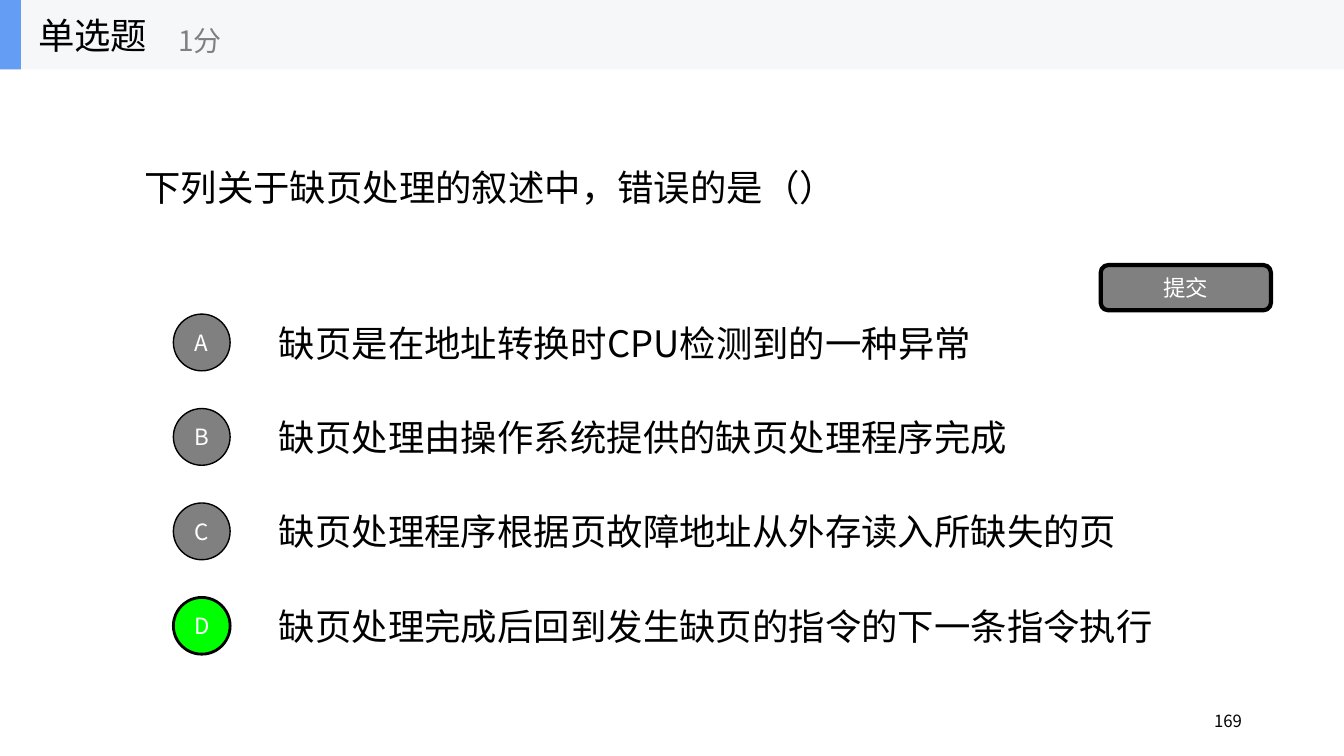
from lxml import etree
from pptx import Presentation
from pptx.dml.color import RGBColor
from pptx.enum.shapes import MSO_SHAPE
from pptx.enum.text import MSO_ANCHOR, MSO_AUTO_SIZE, PP_ALIGN
from pptx.oxml.ns import qn
from pptx.util import Cm, Pt

LEFT, CENTER, RIGHT = PP_ALIGN.LEFT, PP_ALIGN.CENTER, PP_ALIGN.RIGHT
MIDDLE, NO_FIT = MSO_ANCHOR.MIDDLE, MSO_AUTO_SIZE.NONE
RECTANGLE, ROUNDED, OVAL = MSO_SHAPE.RECTANGLE, MSO_SHAPE.ROUNDED_RECTANGLE, MSO_SHAPE.OVAL

FONT = "Noto Sans CJK SC"
BLACK, WHITE, GRAY, GREEN = "000000", "FFFFFF", "808080", "00FF00"
BAND, ACCENT = "F6F7F8", "639EF4"

KIND = "单选题"
SCORE = "1分"
QUESTION = "下列关于缺页处理的叙述中，错误的是（）"
OPTIONS = [
    ("A", "缺页是在地址转换时CPU检测到的一种异常"),
    ("B", "缺页处理由操作系统提供的缺页处理程序完成"),
    ("C", "缺页处理程序根据页故障地址从外存读入所缺失的页"),
    ("D", "缺页处理完成后回到发生缺页的指令的下一条指令执行"),
]
ANSWER = "D"
SUBMIT = "提交"
PAGE_NUMBER = "169"

PAGE_WIDTH, PAGE_HEIGHT = 33.87, 19.05
HEADER_HEIGHT = 1.75
FIRST_CENTER, OPTION_STEP = 8.63, 2.38
OPTION_HEIGHT, CIRCLE_SIZE = 1.78, 1.43


def color(value):
    return RGBColor.from_string(value)


def place(shape, left, top, width, height):
    shape.left, shape.top = Cm(left), Cm(top)
    shape.width, shape.height = Cm(width), Cm(height)


def write(shape, text, size=26, fill=BLACK, align=LEFT):
    frame = shape.text_frame
    frame.word_wrap = True
    frame.auto_size = NO_FIT
    frame.vertical_anchor = MIDDLE
    para = frame.paragraphs[0]
    para.alignment = align
    span = para.add_run()
    span.text = text
    span.font.size = Pt(size)
    span.font.name = FONT
    span.font.color.rgb = color(fill)
    east_asian = etree.SubElement(span.font._element, qn("a:ea"))
    east_asian.set("typeface", FONT)


def add_text(page, area, text, **style):
    box = page.shapes.add_textbox(*map(Cm, area))
    write(box, text, **style)


def add_block(page, kind, area, fill, line_width=0, label=None):
    block = page.shapes.add_shape(kind, *map(Cm, area))
    block.shadow.inherit = False
    block.fill.solid()
    block.fill.fore_color.rgb = color(fill)
    if line_width:
        block.line.color.rgb = color(BLACK)
        block.line.width = Pt(line_width)
    else:
        block.line.fill.background()
    if label:
        frame = block.text_frame
        frame.margin_left = frame.margin_right = 0
        frame.margin_top = frame.margin_bottom = 0
        write(block, label, size=16, fill=WHITE, align=CENTER)


def add_option(page, index, letter, text):
    center = FIRST_CENTER + index * OPTION_STEP
    add_text(page, (6.78, center - OPTION_HEIGHT / 2, 23.7, OPTION_HEIGHT), text)
    correct = letter == ANSWER
    area = (4.37, center - CIRCLE_SIZE / 2, CIRCLE_SIZE, CIRCLE_SIZE)
    add_block(page, OVAL, area, GREEN if correct else GRAY, 2 if correct else 1, letter)


def main():
    deck = Presentation()
    deck.slide_width, deck.slide_height = Cm(PAGE_WIDTH), Cm(PAGE_HEIGHT)
    page = deck.slides.add_slide(deck.slide_layouts[5])

    place(page.shapes.title, 3.38, 1.75, 27.1, 5.94)
    write(page.shapes.title, QUESTION)
    for index, (letter, text) in enumerate(OPTIONS):
        add_option(page, index, letter, text)
    add_block(page, ROUNDED, (27.74, 6.68, 4.29, 1.14), GRAY, 3, SUBMIT)

    add_block(page, RECTANGLE, (0, 0, PAGE_WIDTH, HEADER_HEIGHT), BAND)
    add_block(page, RECTANGLE, (0, 0, 0.53, HEADER_HEIGHT), ACCENT)
    add_text(page, (0.71, 0, 5.28, HEADER_HEIGHT), KIND)
    add_text(page, (4.24, 0.3, 6.35, 1.42), SCORE, size=20, fill=GRAY)
    add_text(page, (23.93, 17.65, 7.62, 1.02), PAGE_NUMBER, size=12, align=RIGHT)

    deck.save("out.pptx")


if __name__ == "__main__":
    main()
